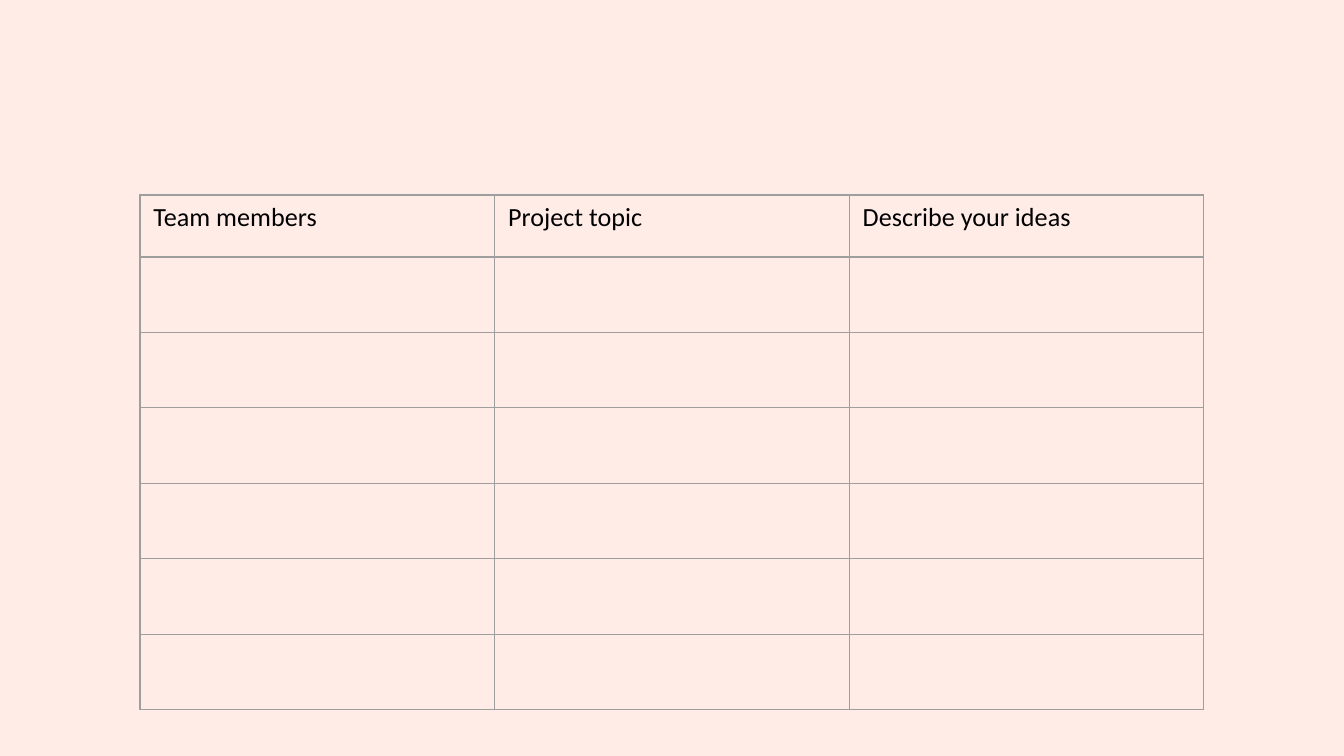
import pptx
import pptx.dml.color
import pptx.oxml.ns
import pptx.util
from lxml import etree

PX_PER_INCH = 134.4
COLORS = {"background": "FFECE7", "border": "9E9E9E", "text": "000000"}
FONT = "Calibri"
HEADINGS = ["Team members", "Project topic", "Describe your ideas"]
BLANK_ROWS = 6
TABLE_LEFT, TABLE_TOP, TABLE_WIDTH = 140, 195, 1064
HEADER_HEIGHT, BODY_HEIGHT = 62, 453


def px(length):
    return pptx.util.Emu(round(length * pptx.util.Inches(1) / PX_PER_INCH))


def rgb(name):
    return pptx.dml.color.RGBColor.from_string(COLORS[name])


def add_borders(cell):
    qn = pptx.oxml.ns.qn
    properties = cell._tc.get_or_add_tcPr()
    for side in ("lnL", "lnR", "lnT", "lnB"):
        line = etree.SubElement(properties, qn(f"a:{side}"), w=str(pptx.util.Pt(0.75)))
        fill = etree.SubElement(line, qn("a:solidFill"))
        etree.SubElement(fill, qn("a:srgbClr"), val=COLORS["border"])


def write_heading(cell, text):
    cell.text_frame.text = text
    font = cell.text_frame.paragraphs[0].runs[0].font
    font.name = FONT
    font.size = pptx.util.Pt(14)
    font.bold = False
    font.color.rgb = rgb("text")


def add_project_table(page):
    frame = page.shapes.add_table(
        BLANK_ROWS + 1, len(HEADINGS), px(TABLE_LEFT), px(TABLE_TOP),
        px(TABLE_WIDTH), px(HEADER_HEIGHT + BODY_HEIGHT))
    table = frame.table
    table.first_row = False
    table.horz_banding = False
    for column in table.columns:
        column.width = px(TABLE_WIDTH / len(HEADINGS))
    for index, row in enumerate(table.rows):
        row.height = px(BODY_HEIGHT / BLANK_ROWS if index else HEADER_HEIGHT)
    for cell in table.iter_cells():
        add_borders(cell)
        cell.fill.background()
    for cell, heading in zip(table.rows[0].cells, HEADINGS):
        write_heading(cell, heading)


def main():
    deck = pptx.Presentation()
    deck.slide_width, deck.slide_height = px(1344), px(756)
    page = deck.slides.add_slide(deck.slide_layouts[6])
    page.background.fill.solid()
    page.background.fill.fore_color.rgb = rgb("background")
    add_project_table(page)
    deck.save("out.pptx")


if __name__ == "__main__":
    main()
